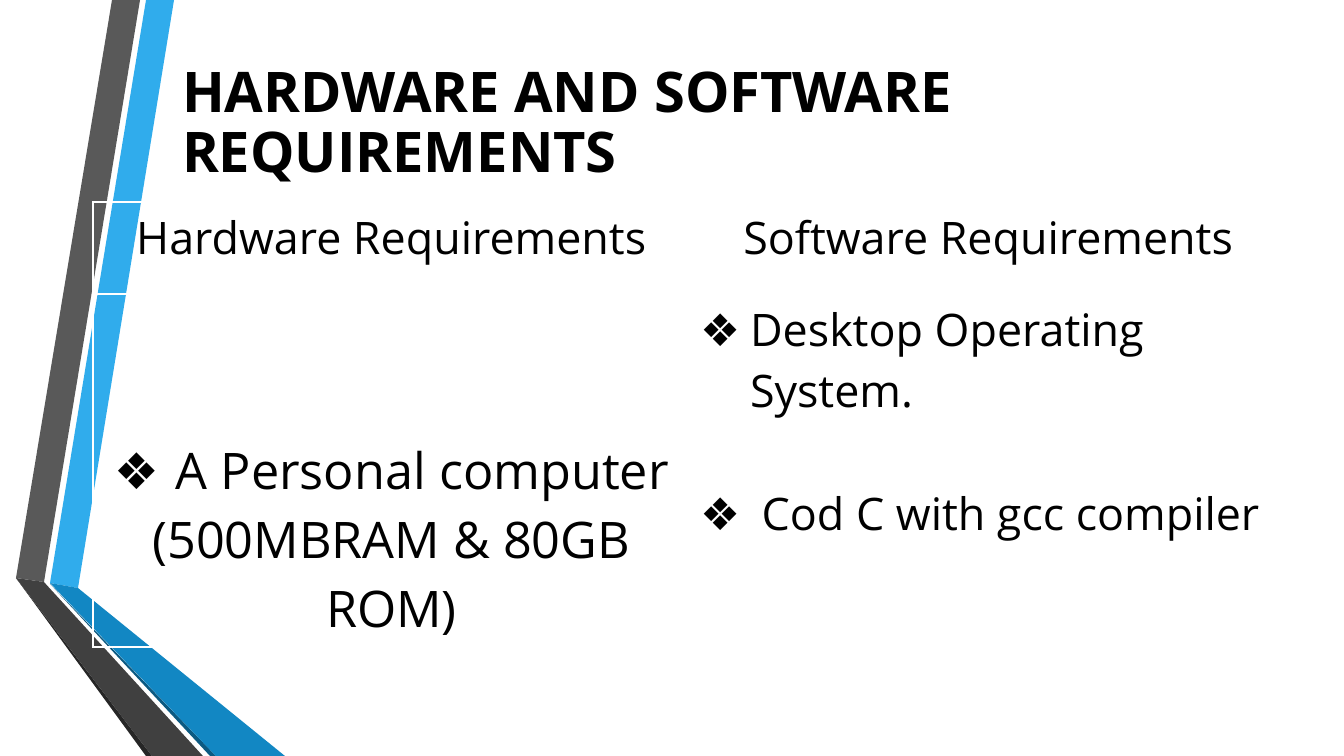
from pptx import Presentation
from pptx.dml.color import RGBColor as RGB
from pptx.enum.text import MSO_ANCHOR as Anchor, PP_ALIGN as Align
from pptx.util import Pt
from lxml import etree

SCALE = 914400 / 100.8
FONT = "Open Sans"
NS = "{http://schemas.openxmlformats.org/drawingml/2006/main}"
BLACK = RGB(0, 0, 0)
BLUE = RGB(0x30, 0xAC, 0xEC)
AZURE = RGB(0x12, 0x87, 0xC3)
NAVY = RGB(0x0C, 0x5A, 0x82)
GREY = RGB(0x59, 0x59, 0x59)
DARK = RGB(0x40, 0x40, 0x40)
COAL = RGB(0x26, 0x26, 0x26)

BANDS = [
    (BLUE, [(50, 583), (78, 588), (174, 0), (146, 0)]),
    (GREY, [(140, 0), (112, 0), (16, 578), (44, 582)]),
    (COAL, [(16, 578), (146, 756), (152, 756)]),
    (NAVY, [(50, 584), (210, 756), (216, 756)]),
    (AZURE, [(50, 583), (216, 756), (285, 756), (78, 588)]),
    (DARK, [(203, 756), (44, 582), (16, 578), (152, 756)]),
]


def px(num):
    return round(num * SCALE)


def style(para, size, bold=False, align=Align.LEFT):
    para.alignment = align
    for run in para.runs:
        font = run.font
        font.name, font.size, font.bold = FONT, Pt(size), bold
        font.color.rgb = BLACK


def bullet(para, indent):
    """Give the paragraph a diamond bullet with a hanging indent in px."""
    props = para._p.get_or_add_pPr()
    props.set("marL", str(px(indent)))
    props.set("indent", str(-px(indent)))
    etree.SubElement(props, NS + "buFont", typeface=FONT)
    etree.SubElement(props, NS + "buChar", char="❖")


def ribbon(slide, left, top):
    for color, points in BANDS:
        spots = [(left + x, top + y) for x, y in points]
        pen = slide.shapes.build_freeform(*spots[0], scale=SCALE)
        pen.add_line_segments(spots[1:], close=True)
        band = pen.convert_to_shape()
        band.shadow.inherit = False
        band.fill.solid()
        band.fill.fore_color.rgb = color
        band.line.fill.background()


def heading(slide, left, top, width, height):
    title = slide.shapes.title
    title.left, title.top = px(left), px(top)
    title.width, title.height = px(width), px(height)
    frame = title.text_frame
    frame.text = "HARDWARE AND SOFTWARE REQUIREMENTS"
    frame.word_wrap = True
    frame.vertical_anchor = Anchor.MIDDLE
    para = frame.paragraphs[0]
    para.line_spacing = 0.9
    style(para, 40, bold=True)


def needs(slide, left, top, width, heights):
    """Place the two-column table of requirements."""
    frame = slide.shapes.add_table(
        2, 2, px(left), px(top), px(width), px(sum(heights)))
    table = frame.table
    table.first_row = table.horz_banding = False
    for row, height in zip(table.rows, heights):
        row.height = px(height)
    for cell in table.iter_cells():
        cell.fill.background()

    for col, name in enumerate(["Hardware", "Software"]):
        head = table.cell(0, col).text_frame
        head.text = f"{name} Requirements"
        style(head.paragraphs[0], 32, align=Align.CENTER)

    hard, soft = table.cell(1, 0), table.cell(1, 1)
    hard.vertical_anchor = Anchor.BOTTOM
    hard.text_frame.text = "A Personal computer\n(500MBRAM & 80GB ROM)"
    for para in hard.text_frame.paragraphs:
        style(para, 36, align=Align.CENTER)
    bullet(hard.text_frame.paragraphs[0], 62)

    soft.text_frame.text = "Desktop Operating System.\n Cod C with gcc compiler"
    for para in soft.text_frame.paragraphs:
        style(para, 32)
    soft.text_frame.paragraphs[1].space_before = Pt(44)
    for para in soft.text_frame.paragraphs:
        bullet(para, 50)


def main():
    deck = Presentation()
    deck.slide_width, deck.slide_height = px(1344), px(756)
    slide = deck.slides.add_slide(deck.slide_layouts.get_by_name("Title Only"))
    ribbon(slide, 0, 0)
    heading(slide, 172, 59, 1172, 131)
    needs(slide, 93, 202, 1194, [92, 353])
    deck.save("out.pptx")


if __name__ == "__main__":
    main()
